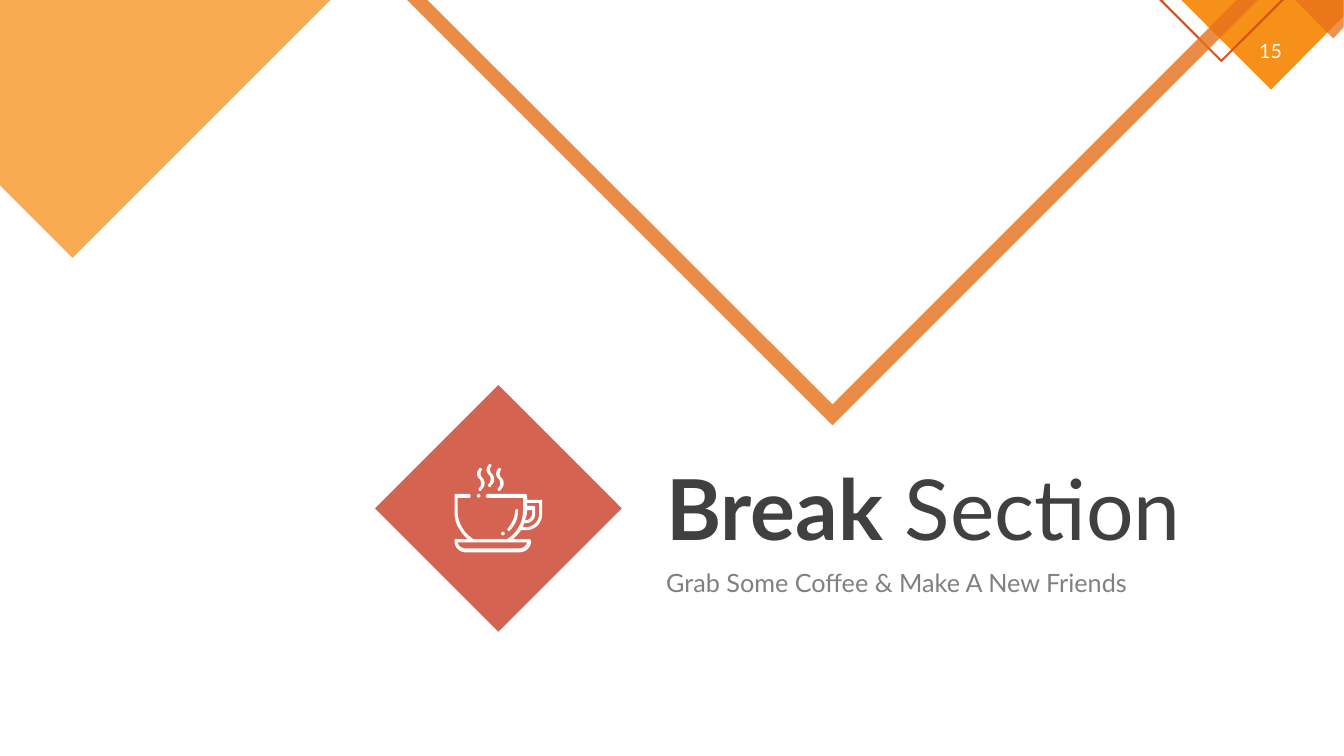
import pptx
import pptx.dml.color
import pptx.enum.shapes
import pptx.enum.text
import pptx.oxml
import pptx.oxml.ns
import pptx.util

Cm = pptx.util.Cm
ICON_UNIT = Cm(2.54) / 100
ORANGE, AMBER, RED, WHITE = "E67018", "F69018", "C63018", "FFFFFF"

CORNER_TILE = [(29.77, 0), (33.86, 0), (33.86, 0.41), (32.03, 2.26)]
CORNER_CHEVRON = [(29.21, 0), (29.29, 0), (30.78, 1.5), (32.28, 0), (32.36, 0), (30.78, 1.57)]
CORNER_TIP = [(32.64, 0), (33.86, 0), (33.86, 0.69), (33.6, 0.97)]
CHEVRON = [(31.7, 0), (31.17, 0), (20.98, 10.19), (10.77, 0), (10.26, 0), (20.98, 10.72)]
LEFT_TILE = [(8.33, 0), (0, 0), (0, 4.67), (1.83, 6.5)]

CUP = [
    (537, 496), (523, 496), (523, 492), (523, 491, 522, 490, 521, 490),
    (484, 490), (483, 490, 482, 491, 482, 492), (482, 493, 483, 494, 484, 494),
    (519, 494), (519, 507), (519, 518, 513, 529, 503, 535),
    (470, 535), (460, 529, 454, 518, 454, 507), (454, 494),
    (466, 494), (466, 494, 467, 493, 467, 492), (467, 491, 466, 490, 466, 490),
    (452, 490), (451, 490, 451, 491, 451, 492), (451, 507),
    (451, 513, 452, 520, 456, 525), (458, 529, 461, 532, 464, 535),
    (452, 535), (451, 535, 451, 536, 451, 537), (451, 543, 456, 548, 462, 548),
    (515, 548), (522, 548, 527, 543, 527, 537), (527, 536, 526, 535, 525, 535),
    (509, 535), (512, 532, 515, 529, 517, 526),
    (522, 526), (531, 526, 538, 519, 538, 510),
    (538, 497), (538, 496, 538, 496, 537, 496),
]
SAUCER_HOLE = [
    (515, 544), (462, 544), (458, 544, 455, 542, 454, 538),
    (523, 538), (522, 542, 519, 544, 515, 544),
]
INNER_HANDLE = [
    (523, 506), (528, 506), (528, 510), (528, 513, 525, 516, 522, 516),
    (521, 516), (522, 513, 523, 510, 523, 507),
]
OUTER_HANDLE = [
    (535, 510), (535, 517, 529, 523, 522, 523), (519, 523),
    (519, 521, 520, 520, 520, 519), (522, 519), (527, 519, 531, 515, 531, 510),
    (531, 504), (531, 503, 531, 502, 530, 502), (523, 502), (523, 499), (535, 499),
]
STEAM = [
    (486, 472), (487, 474, 487, 477, 486, 479), (485, 480),
    (484, 481, 484, 482, 485, 483), (485, 483, 486, 483, 486, 483),
    (487, 483, 487, 483, 487, 482), (488, 481), (491, 478, 491, 473, 488, 470),
    (487, 469), (486, 467, 486, 465, 487, 463), (488, 462, 488, 461, 487, 461),
    (486, 460, 485, 460, 485, 461), (482, 464, 482, 468, 485, 471),
]
SHINE = [
    (506, 526), (511, 521, 514, 514, 514, 507), (514, 506, 514, 505, 513, 505),
    (512, 505, 511, 506, 511, 507), (511, 513, 508, 519, 504, 524),
    (503, 525, 503, 526, 504, 526), (504, 527, 505, 527, 505, 527),
    (505, 527, 506, 527, 506, 526),
]


def rgb(value):
    """Turn a hex string into a colour."""
    return pptx.dml.color.RGBColor.from_string(value)


def paint(sp, color, alpha=100):
    """Fill a shape with one colour, without line or shadow."""
    sp.shadow.inherit = False
    sp.fill.solid()
    sp.fill.fore_color.rgb = rgb(color)
    sp.line.fill.background()
    if alpha < 100:
        clr = sp.fill._xPr.find(".//" + pptx.oxml.ns.qn("a:srgbClr"))
        a = pptx.oxml.parse_xml("<a:alpha %s/>" % pptx.oxml.ns.nsdecls("a"))
        a.set("val", str(alpha * 1000))
        clr.append(a)


def flatten(contour, steps=8):
    """Turn lines (2 numbers) and Bezier curves (6 numbers) into points."""
    points = [contour[0]]
    for part in contour[1:]:
        if len(part) == 2:
            points.append(part)
            continue
        x0, y0 = points[-1]
        x1, y1, x2, y2, x3, y3 = part
        for t in (i / steps for i in range(1, steps + 1)):
            u = 1 - t
            a, b, c, d = u ** 3, 3 * u * u * t, 3 * u * t * t, t ** 3
            points.append((a * x0 + b * x1 + c * x2 + d * x3,
                           a * y0 + b * y1 + c * y2 + d * y3))
    return points


def add_outline(shapes, contours, unit, color, alpha=100, dx=0, dy=0):
    """Draw closed contours as one filled freeform."""
    builder = None
    for contour in contours:
        points = [((x + dx) * unit, (y + dy) * unit) for x, y in flatten(contour)]
        if builder is None:
            builder = shapes.build_freeform(*points[0])
        else:
            builder.move_to(*points[0])
        builder.add_line_segments(points[1:], close=True)
    paint(builder.convert_to_shape(), color, alpha)


def add_preset(shapes, kind, left, top, size, color, alpha=100):
    """Draw a preset shape as wide as it is high."""
    sp = shapes.add_shape(kind, Cm(left), Cm(top), Cm(size), Cm(size))
    paint(sp, color, alpha)


def add_text(s, left, top, width, height, runs, size, color, centred=False):
    """Write one line made of (text, bold) runs."""
    tf = s.shapes.add_textbox(Cm(left), Cm(top), Cm(width), Cm(height)).text_frame
    tf.word_wrap = False
    tf.auto_size = pptx.enum.text.MSO_AUTO_SIZE.SHAPE_TO_FIT_TEXT
    p = tf.paragraphs[0]
    if centred:
        p.alignment = pptx.enum.text.PP_ALIGN.CENTER
    p.font.name = "Lato"
    p.font.size = pptx.util.Pt(size)
    p.font.color.rgb = rgb(color)
    for text, bold in runs:
        r = p.add_run()
        r.text = text
        if bold:
            r.font.bold = True


def add_corner(s):
    """Draw the page number on its corner tiles."""
    shapes = s.shapes.add_group_shape().shapes
    add_outline(shapes, [CORNER_TILE], Cm(1), AMBER)
    add_outline(shapes, [CORNER_CHEVRON], Cm(1), "D65018")
    add_outline(shapes, [CORNER_TIP], Cm(1), ORANGE, 75)
    add_text(s, 31.32, 0.86, 1.4, 0.86, [("15", False)], 14, WHITE, centred=True)


def add_coffee_icon(s):
    """Draw the steaming cup on its saucer."""
    shapes = s.shapes.add_group_shape().shapes
    cup = [CUP, SAUCER_HOLE, INNER_HANDLE, OUTER_HANDLE]
    add_outline(shapes, cup, ICON_UNIT, WHITE)
    for dx, dy in ((0, 0), (9.5, 4), (-9.5, 4)):
        add_outline(shapes, [STEAM], ICON_UNIT, WHITE, dx=dx, dy=dy)
    add_outline(shapes, [SHINE], ICON_UNIT, WHITE)
    for left, top in ((12.02, 12.45), (12.63, 13.4)):
        add_preset(shapes, pptx.enum.shapes.MSO_SHAPE.OVAL, left, top, 0.09, WHITE)


def main():
    """Build the break slide."""
    prs = pptx.Presentation()
    prs.slide_width, prs.slide_height = Cm(33.87), Cm(19.05)
    s = prs.slides.add_slide(prs.slide_layouts[6])
    add_corner(s)
    add_outline(s.shapes, [CHEVRON], Cm(1), ORANGE, 80)
    add_outline(s.shapes, [LEFT_TILE], Cm(1), AMBER, 75)
    add_preset(s.shapes, pptx.enum.shapes.MSO_SHAPE.DIAMOND, 9.45, 9.7, 6.22, RED, 75)
    add_text(s, 16.54, 11.38, 13.72, 2.82, [("Break", True), (" Section", False)], 60, "404040")
    add_text(s, 16.54, 14.17, 12.17, 1.02,
             [("Grab Some Coffee & Make A New Friends", False)], 18, "808080")
    add_coffee_icon(s)
    prs.save("out.pptx")


if __name__ == "__main__":
    main()
